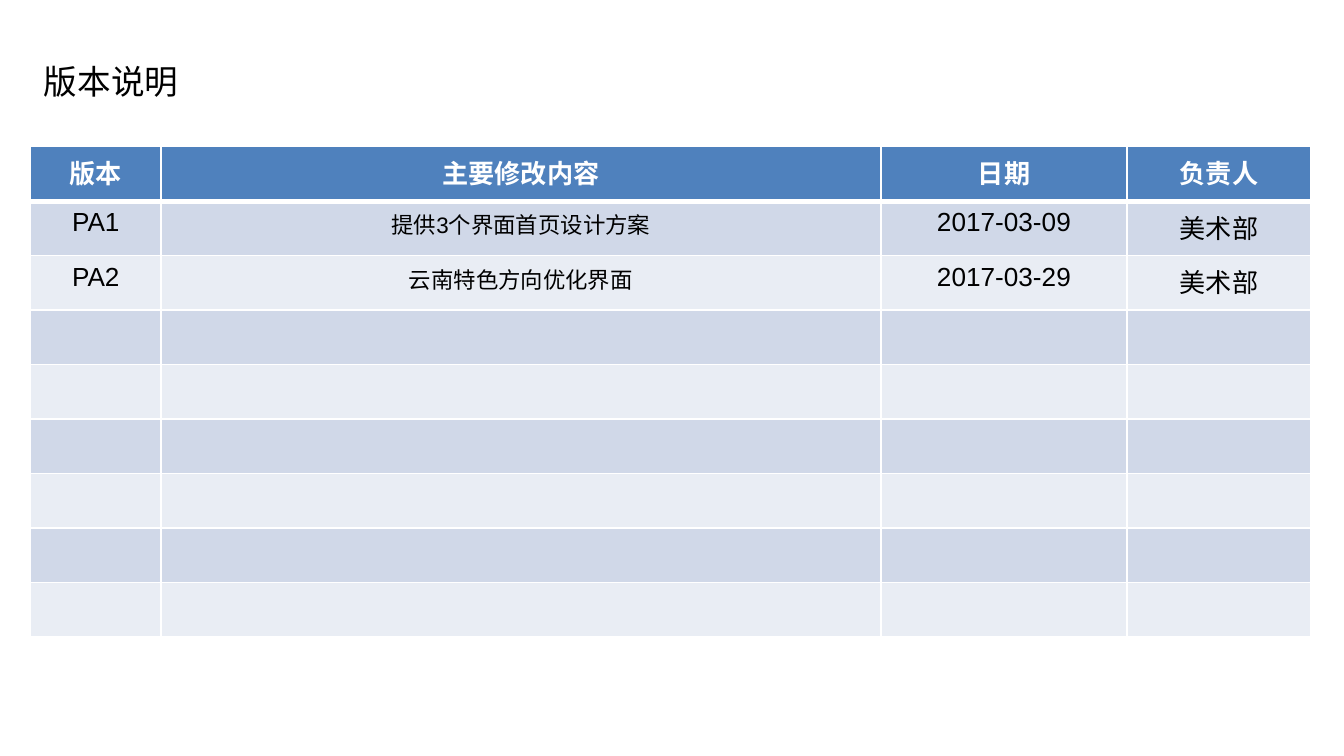
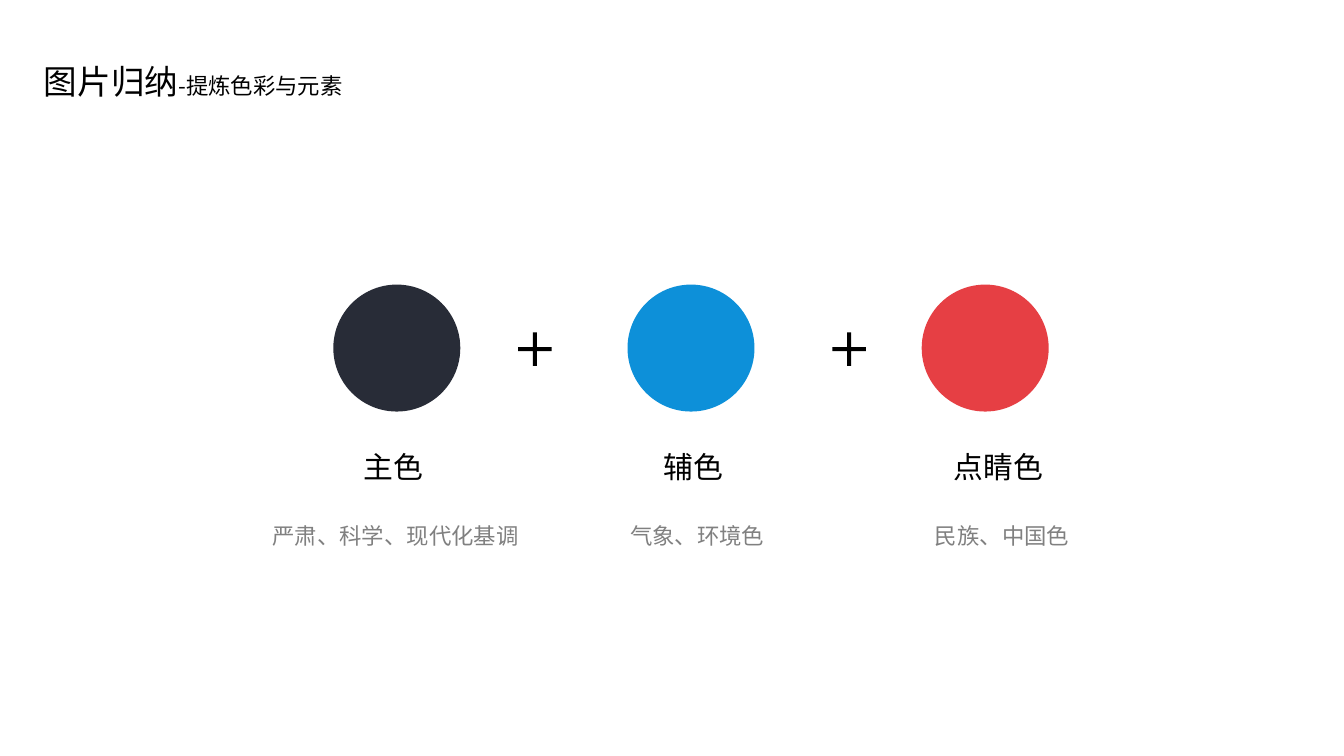
from collections import namedtuple
from dataclasses import dataclass

from lxml import etree
from pptx import Presentation
from pptx import util as u
from pptx.dml.color import RGBColor
from pptx.enum import shapes, text
from pptx.oxml import ns


@dataclass(frozen=True)
class Theme:
    cjk: str = "Noto Sans CJK SC"
    latin: str = "Arial"
    ink: str = "000000"
    paper: str = "FFFFFF"
    muted: str = "808080"
    header: str = "4F81BD"
    bands: tuple = ("D0D8E8", "E9EDF4")
    title: int = 18
    label: int = 16
    table: int = 14
    small: int = 12


THEME = Theme()
Box = namedtuple("Box", "left top width height")
Swatch = namedtuple("Swatch", "color name name_dx name_width mood mood_dx mood_width")

TITLE_BOX = Box(0.58, 1.02, 6.76, 1)
VERSION_BOX = Box(0.58, 2.77, 24.2, 9.27)
PALETTE_BOX = Box(6.3, 5.38, 13.52, 5.9)

VERSION_COLUMNS = (2.46, 13.61, 4.65, 3.48)
VERSION_HEADER = ("版本", "主要修改内容", "日期", "负责人")
VERSIONS = (
    ("PA1", "提供3个界面首页设计方案", "2017-03-09", "美术部"),
    ("PA2", "云南特色方向优化界面", "2017-03-29", "美术部"),
)
VERSION_ROWS = 9
CHANGES_COLUMN = 1

SWATCHES = (
    Swatch("282C37", "主色", 0.33, 1.78, "严肃、科学、现代化基调", -1.4, 5.21),
    Swatch("0D90D9", "辅色", 0.43, 1.78, "气象、环境色", -0.2, 3.07),
    Swatch("E63F44", "点睛色", 0.36, 2.34, "民族、中国色", 0, 3.07),
)
PLUS_OFFSETS = (3.38, 9.32)


def cm_box(box):
    return [u.Cm(length) for length in box]


def write(paragraph, words, size=THEME.small, color=THEME.ink, font=THEME.cjk,
          bold=False, align=None):
    """Add one formatted run; East Asian characters always use the CJK font."""
    run = paragraph.add_run()
    run.text = words
    run.font.size = u.Pt(size)
    run.font.bold = bold
    run.font.name = font
    run.font.color.rgb = RGBColor.from_string(color)
    east_asian = etree.SubElement(run.font._element, ns.qn("a:ea"))
    east_asian.set("typeface", THEME.cjk)
    if align is not None:
        paragraph.alignment = align


def add_text(parent, box, *runs, wrap=True):
    """Place a text box whose runs are (words, format) pairs."""
    frame = parent.add_textbox(*cm_box(box)).text_frame
    frame.word_wrap = wrap
    if not wrap:
        frame.auto_size = text.MSO_AUTO_SIZE.SHAPE_TO_FIT_TEXT
    for words, style in runs:
        write(frame.paragraphs[0], words, **style)


def add_filled(parent, preset, box, color):
    shape = parent.add_shape(preset, *cm_box(box))
    shape.shadow.inherit = False
    shape.fill.solid()
    shape.fill.fore_color.rgb = RGBColor.from_string(color)
    shape.line.fill.background()
    return shape


def add_title(slide, heading, subtitle=None):
    runs = [(heading, dict(size=THEME.title))]
    if subtitle:
        runs.append((subtitle, dict(size=THEME.small)))
    add_text(slide.shapes, TITLE_BOX, *runs)


def style_cell(cell, fill, top=1, bottom=1):
    """Set the borders, in points, and then the fill of a table cell."""
    properties = cell._tc.get_or_add_tcPr()
    for side, width in (("L", 1), ("R", 1), ("T", top), ("B", bottom)):
        line = etree.SubElement(properties, ns.qn(f"a:ln{side}"), w=str(u.Pt(width)))
        solid = etree.SubElement(line, ns.qn("a:solidFill"))
        etree.SubElement(solid, ns.qn("a:srgbClr"), val=THEME.paper)
    cell.fill.solid()
    cell.fill.fore_color.rgb = RGBColor.from_string(fill)


def add_version_table(slide, box):
    table = slide.shapes.add_table(
        VERSION_ROWS, len(VERSION_COLUMNS), *cm_box(box)).table
    for column, width in zip(table.columns, VERSION_COLUMNS):
        column.width = u.Cm(width)
    for row in table.rows:
        row.height = u.Cm(box.height / VERSION_ROWS)

    entries = (VERSION_HEADER, *VERSIONS)
    for r, row in enumerate(table.rows):
        is_header = r == 0
        for c, cell in enumerate(row.cells):
            fill = THEME.header if is_header else THEME.bands[(r - 1) % 2]
            style_cell(cell, fill, top=3 if r == 1 else 1, bottom=3 if is_header else 1)
            if r >= len(entries):
                continue
            small = c == CHANGES_COLUMN and not is_header
            write(cell.text_frame.paragraphs[0], entries[r][c],
                  size=THEME.small if small else THEME.table,
                  color=THEME.paper if is_header else THEME.ink,
                  font=THEME.cjk if is_header else THEME.latin,
                  bold=is_header, align=text.PP_ALIGN.CENTER)


def add_palette(slide, box):
    """Lay out three colour circles joined by plus signs, with captions below."""
    diameter, plus_size = 2.4, 0.86
    step = (box.width - diameter) / (len(SWATCHES) - 1)
    palette = slide.shapes.add_group_shape().shapes
    for i, swatch in enumerate(SWATCHES):
        left = box.left + i * step
        add_filled(palette, shapes.MSO_SHAPE.OVAL,
                   Box(left, box.top, diameter, diameter), swatch.color)
        add_text(palette,
                 Box(left + swatch.name_dx, box.top + 2.97, swatch.name_width, 1),
                 (swatch.name, dict(size=THEME.label)))
        add_text(palette,
                 Box(left + swatch.mood_dx, box.top + 4.37, swatch.mood_width, 0.77),
                 (swatch.mood, dict(color=THEME.muted)), wrap=False)
    for offset in PLUS_OFFSETS:
        plus = add_filled(palette, shapes.MSO_SHAPE.MATH_PLUS,
                          Box(box.left + offset, box.top + 0.79, plus_size, plus_size),
                          THEME.ink)
        plus.adjustments[0] = 0.09


def main():
    deck = Presentation()
    deck.slide_width, deck.slide_height = u.Cm(25.4), u.Cm(14.29)
    blank = deck.slide_layouts[6]

    versions = deck.slides.add_slide(blank)
    add_title(versions, "版本说明")
    add_version_table(versions, VERSION_BOX)

    colors = deck.slides.add_slide(blank)
    add_title(colors, "图片归纳", "-提炼色彩与元素")
    add_palette(colors, PALETTE_BOX)

    deck.save("out.pptx")


if __name__ == "__main__":
    main()
